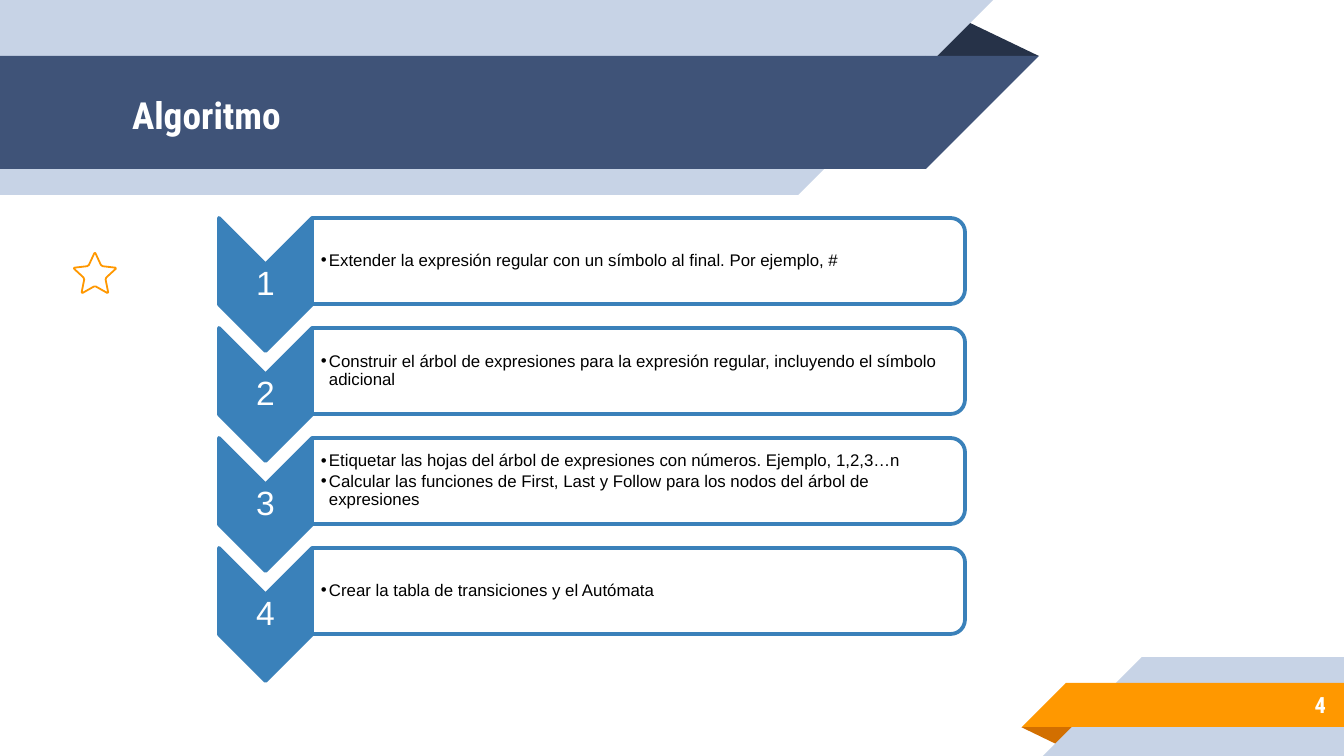
import math
from dataclasses import dataclass

import pptx
import pptx.dml.color
import pptx.enum.shapes
import pptx.enum.text
import pptx.oxml.ns
import pptx.util
from lxml import etree

SHAPE = pptx.enum.shapes.MSO_SHAPE
ALIGN = pptx.enum.text.PP_ALIGN
qn = pptx.oxml.ns.qn
EMU_PER_PX = 914400 / 134.4


@dataclass(frozen=True)
class Theme:
    white: str = "FFFFFF"
    ink: str = "000000"
    pale: str = "C7D3E6"
    navy: str = "3F5378"
    navy_fold: str = "263248"
    orange: str = "FF9800"
    orange_fold: str = "D26F00"
    blue: str = "3A81BA"
    heading_font: str = "Roboto Condensed"
    body_font: str = "Arial"
    title_size: int = 20
    page_number_size: int = 12
    step_number_size: int = 18
    body_size: int = 9
    outline: int = 2
    star_outline: float = 0.96


THEME = Theme()

STEPS = [
    ["Extender la expresión regular con un símbolo al final. Por ejemplo, #"],
    ["Construir el árbol de expresiones para la expresión regular, "
     "incluyendo el símbolo adicional"],
    ["Etiquetar las hojas del árbol de expresiones con números. Ejemplo, 1,2,3…n",
     "Calcular las funciones de First, Last y Follow para los nodos "
     "del árbol de expresiones"],
    ["Crear la tabla de transiciones y el Autómata"],
]


def px(length):
    return pptx.util.Emu(round(length * EMU_PER_PX))


def rgb(value):
    return pptx.dml.color.RGBColor.from_string(value)


def add_block(page, kind, box, fill, turn=0, line=None, alpha=None):
    """Add a preset shape; box is its visible frame, also after a quarter turn."""
    left, top, width, height = box
    if turn % 180:
        left, top = left + (width - height) / 2, top + (height - width) / 2
        width, height = height, width
    shape = page.shapes.add_shape(kind, px(left), px(top), px(width), px(height))
    shape.rotation = turn
    shape.shadow.inherit = False
    shape.fill.solid()
    shape.fill.fore_color.rgb = rgb(fill)
    if alpha is not None:
        color = shape.element.spPr.find(qn("a:solidFill")).find(qn("a:srgbClr"))
        etree.SubElement(color, qn("a:alpha"), val=str(alpha * 1000))
    if line:
        shape.line.color.rgb = rgb(line)
        shape.line.width = pptx.util.Pt(THEME.outline)
    else:
        shape.line.fill.background()
    return shape


def add_bullet(para, indent):
    props = para._p.get_or_add_pPr()
    props.set("marL", str(px(indent)))
    props.set("indent", str(-px(indent)))
    color = etree.SubElement(props, qn("a:buClr"))
    etree.SubElement(color, qn("a:srgbClr"), val=THEME.ink)
    etree.SubElement(props, qn("a:buFont"), typeface=THEME.body_font)
    etree.SubElement(props, qn("a:buChar"), char="•")


def write_text(shape, lines, size, font, color, bold=False, align=ALIGN.LEFT,
               insets=(13, 13, 13, 13), spacing=None, after=None, bullet=False):
    frame = shape.text_frame
    frame.word_wrap = True
    frame.auto_size = pptx.enum.text.MSO_AUTO_SIZE.NONE
    frame.vertical_anchor = pptx.enum.text.MSO_ANCHOR.MIDDLE
    frame.margin_left, frame.margin_top, frame.margin_right, frame.margin_bottom = map(px, insets)
    for index, line in enumerate(lines):
        para = frame.add_paragraph() if index else frame.paragraphs[0]
        para.alignment = align
        if spacing:
            para.line_spacing = spacing
        if after:
            para.space_after = pptx.util.Pt(after)
        if bullet:
            para.level = 1
            add_bullet(para, indent=8)
        span = para.add_run()
        span.text = line
        span.font.size = pptx.util.Pt(size)
        span.font.name = font
        span.font.bold = bold
        span.font.color.rgb = rgb(color)


def add_label(page, box, lines, **style):
    write_text(page.shapes.add_textbox(*map(px, box)), lines, **style)


def add_ribbons(page):
    # Top ribbon: a right triangle slants the end of each band
    add_block(page, SHAPE.ISOSCELES_TRIANGLE, (925, 19, 114, 37),
              THEME.navy_fold).adjustments[0] = 0.324
    for top, width, height, fill in [(0, 798, 195, THEME.pale), (56, 926, 113, THEME.navy)]:
        add_block(page, SHAPE.RECTANGLE, (0, top, width, height), fill)
        add_block(page, SHAPE.RIGHT_TRIANGLE, (width, top, height, height), fill, turn=90)
    # Bottom ribbon, slanted on its left side
    add_block(page, SHAPE.ISOSCELES_TRIANGLE, (1021, 727, 58, 19),
              THEME.orange_fold, turn=180).adjustments[0] = 0.324
    for left, top, height, fill in [(1142, 657, 99, THEME.pale), (1066, 683, 44, THEME.orange)]:
        add_block(page, SHAPE.RECTANGLE, (left, top, 1344 - left, height), fill)
        add_block(page, SHAPE.RIGHT_TRIANGLE, (left - height, top, height, height), fill, turn=270)


def add_title(page, text):
    title = page.shapes.title
    title.left, title.top, title.width, title.height = map(px, (119, 58, 808, 113))
    write_text(title, [text], size=THEME.title_size, font=THEME.heading_font,
               color=THEME.white, bold=True)
    # Bring the title in front of the ribbon
    title.element.getparent().append(title.element)


def add_star(page, center_x, center_y, outer, inner, blunt=0.08):
    corners = []
    for index in range(10):
        radius = inner if index % 2 else outer
        angle = math.radians(36 * index - 90)
        corners.append((center_x + radius * math.cos(angle),
                        center_y + radius * math.sin(angle)))
    # Cut every corner slightly towards both neighbours
    points = []
    for index, (x, y) in enumerate(corners):
        for near_x, near_y in (corners[index - 1], corners[(index + 1) % 10]):
            points.append((px(x + blunt * (near_x - x)), px(y + blunt * (near_y - y))))
    builder = page.shapes.build_freeform(*points[0])
    builder.add_line_segments(points[1:], close=True)
    star = builder.convert_to_shape()
    star.shadow.inherit = False
    star.fill.background()
    star.line.color.rgb = rgb(THEME.orange)
    star.line.width = pptx.util.Pt(THEME.star_outline)


def add_step(page, number, lines, top):
    add_block(page, SHAPE.CHEVRON, (219, top, 93, 133), THEME.blue, turn=90, line=THEME.blue)
    add_label(page, (219, top + 47, 93, 40), [str(number)], size=THEME.step_number_size,
              font=THEME.body_font, color=THEME.white, align=ALIGN.CENTER,
              insets=(1, 1, 1, 1), spacing=0.9, after=6.3)
    add_block(page, SHAPE.ROUND_2_SAME_RECTANGLE, (312, top, 653, 86), THEME.white,
              turn=90, line=THEME.blue, alpha=90)
    add_label(page, (312, top + 4, 649, 78), lines, size=THEME.body_size,
              font=THEME.body_font, color=THEME.ink, insets=(9, 1, 1, 1),
              spacing=0.9, after=1.35, bullet=True)


def main():
    deck = pptx.Presentation()
    deck.slide_width, deck.slide_height = px(1344), px(756)
    page = deck.slides.add_slide(deck.slide_layouts[5])
    add_ribbons(page)
    add_title(page, "Algoritmo")
    add_label(page, (1120, 681, 219, 47), ["4"], size=THEME.page_number_size,
              font=THEME.heading_font, color=THEME.white, bold=True, align=ALIGN.RIGHT)
    add_star(page, 95, 275, outer=23, inner=11)
    # Steps at an equal pitch
    for index, lines in enumerate(STEPS):
        add_step(page, index + 1, lines, top=218 + 110 * index)
    deck.save("out.pptx")


if __name__ == "__main__":
    main()
